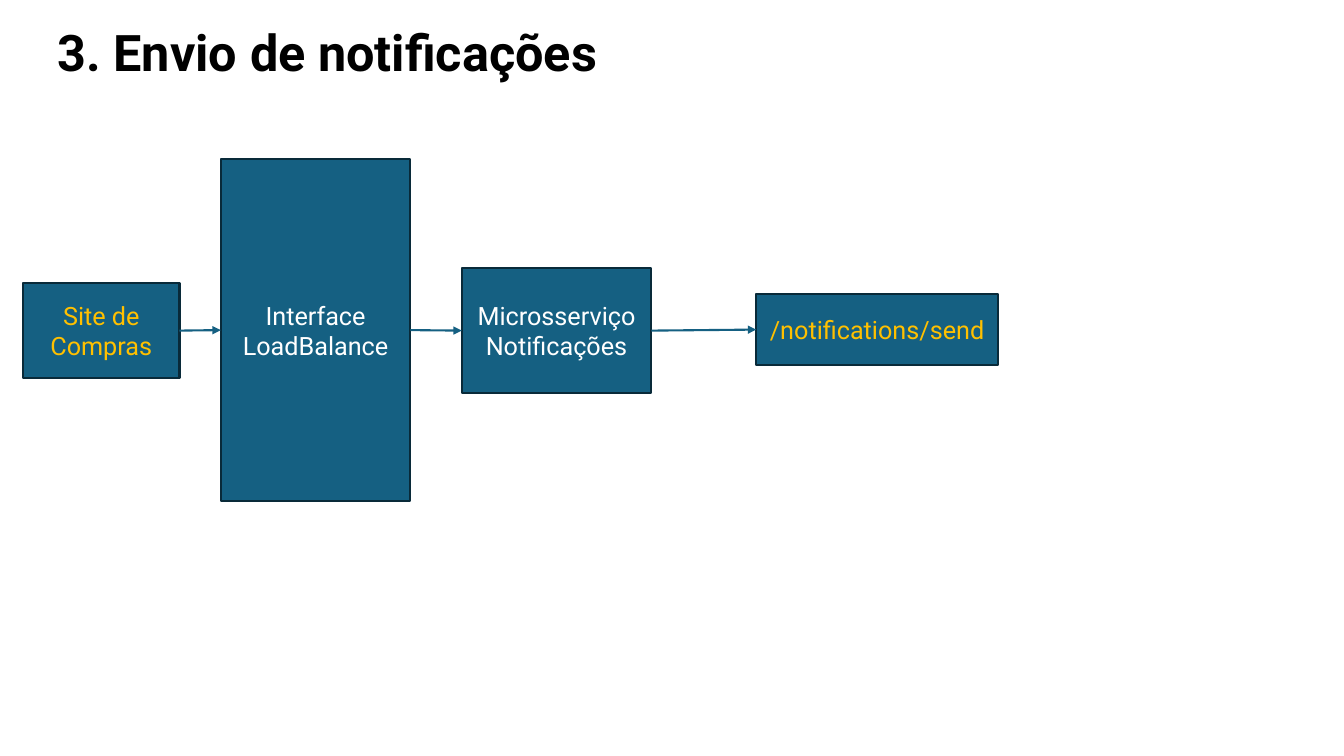
from itertools import pairwise

from lxml import etree
from pptx import Presentation
from pptx.dml.color import RGBColor
from pptx.enum.shapes import MSO_CONNECTOR, MSO_SHAPE
from pptx.enum.text import MSO_ANCHOR, MSO_AUTO_SIZE, PP_ALIGN
from pptx.oxml.ns import qn
from pptx.util import Inches, Pt

PROCESS = MSO_SHAPE.FLOWCHART_PROCESS
STRAIGHT = MSO_CONNECTOR.STRAIGHT
MIDDLE = MSO_ANCHOR.MIDDLE
LEFT, CENTER = PP_ALIGN.LEFT, PP_ALIGN.CENTER
NO_AUTOSIZE = MSO_AUTO_SIZE.NONE
LEFT_SIDE, RIGHT_SIDE = 1, 3
TITLE_ONLY = 5

# Content
COLORS = {"box": "156082", "border": "092A39", "gold": "FFC000",
          "white": "FFFFFF", "black": "000000"}
FONT = "Roboto"
LINE_WIDTH = Pt(1.5)
TITLE = "3. Envio de notificações"
TITLE_BOX = (0.47, 0.15, 12.26, 0.71)

# Flow steps: paragraphs, text colour, (left, top, width, height)
STEPS = [
    (["Site de Compras"], "gold", (0.23, 2.81, 1.55, 0.94)),
    (["Interface", "LoadBalance"], "white", (2.19, 1.58, 1.88, 3.39)),
    (["Microsserviço Notificações"], "white", (4.58, 2.66, 1.88, 1.24)),
    (["/notifications/send"], "gold", (7.5, 2.92, 2.4, 0.7)),
]


def rgb(name):
    return RGBColor.from_string(COLORS[name])


def write(tf, lines, align, color, **font_format):
    tf.word_wrap = True
    tf.auto_size = NO_AUTOSIZE
    tf.vertical_anchor = MIDDLE
    for i, line in enumerate(lines):
        p = tf.paragraphs[0] if i == 0 else tf.add_paragraph()
        p.alignment = align
        r = p.add_run()
        r.text = line
        r.font.color.rgb = rgb(color)
        for name, value in {"name": FONT, **font_format}.items():
            setattr(r.font, name, value)


def add_step(s, lines, color, box):
    sp = s.shapes.add_shape(PROCESS, *map(Inches, box))
    sp.shadow.inherit = False
    sp.fill.solid()
    sp.fill.fore_color.rgb = rgb("box")
    sp.line.color.rgb = rgb("border")
    sp.line.width = LINE_WIDTH
    write(sp.text_frame, lines, CENTER, color, size=Pt(18))
    return sp


def add_arrow(s, source, target):
    cx = s.shapes.add_connector(STRAIGHT, 0, 0, 0, 0)
    cx.begin_connect(source, RIGHT_SIDE)
    cx.end_connect(target, LEFT_SIDE)
    cx.line.color.rgb = rgb("box")
    cx.line.width = LINE_WIDTH
    etree.SubElement(cx.line._get_or_add_ln(), qn("a:tailEnd"), type="triangle")
    etree.SubElement(cx._element.spPr, qn("a:effectLst"))


def main():
    prs = Presentation()
    prs.slide_width, prs.slide_height = Inches(13.33), Inches(7.5)
    s = prs.slides.add_slide(prs.slide_layouts[TITLE_ONLY])

    # Title
    title = s.shapes.title
    title.left, title.top, title.width, title.height = map(Inches, TITLE_BOX)
    write(title.text_frame, [TITLE], LEFT, "black", size=Pt(36), bold=True)

    # Flow boxes, each joined to the next
    boxes = [add_step(s, *step) for step in STEPS]
    for source, target in pairwise(boxes):
        add_arrow(s, source, target)

    prs.save("out.pptx")


if __name__ == "__main__":
    main()
